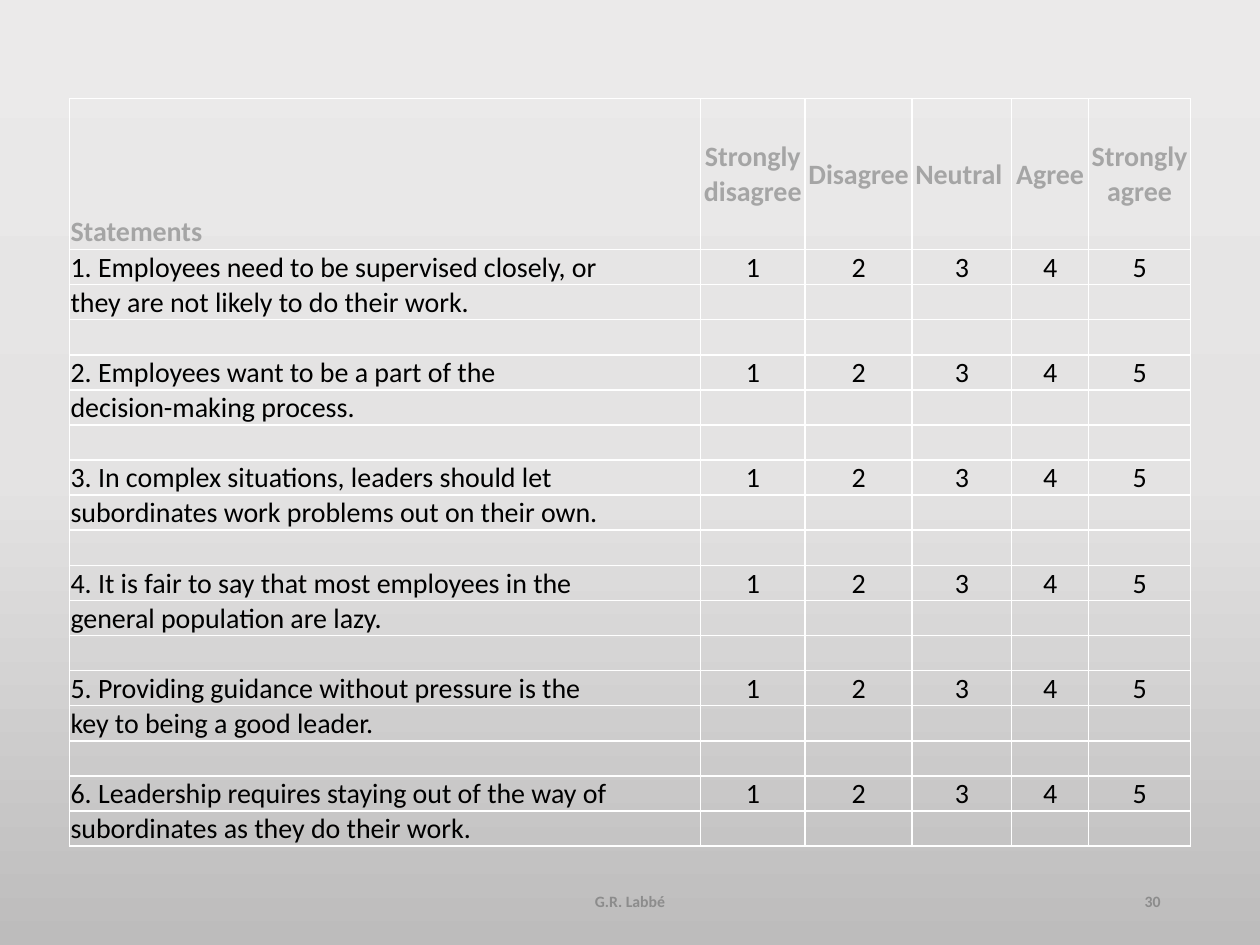
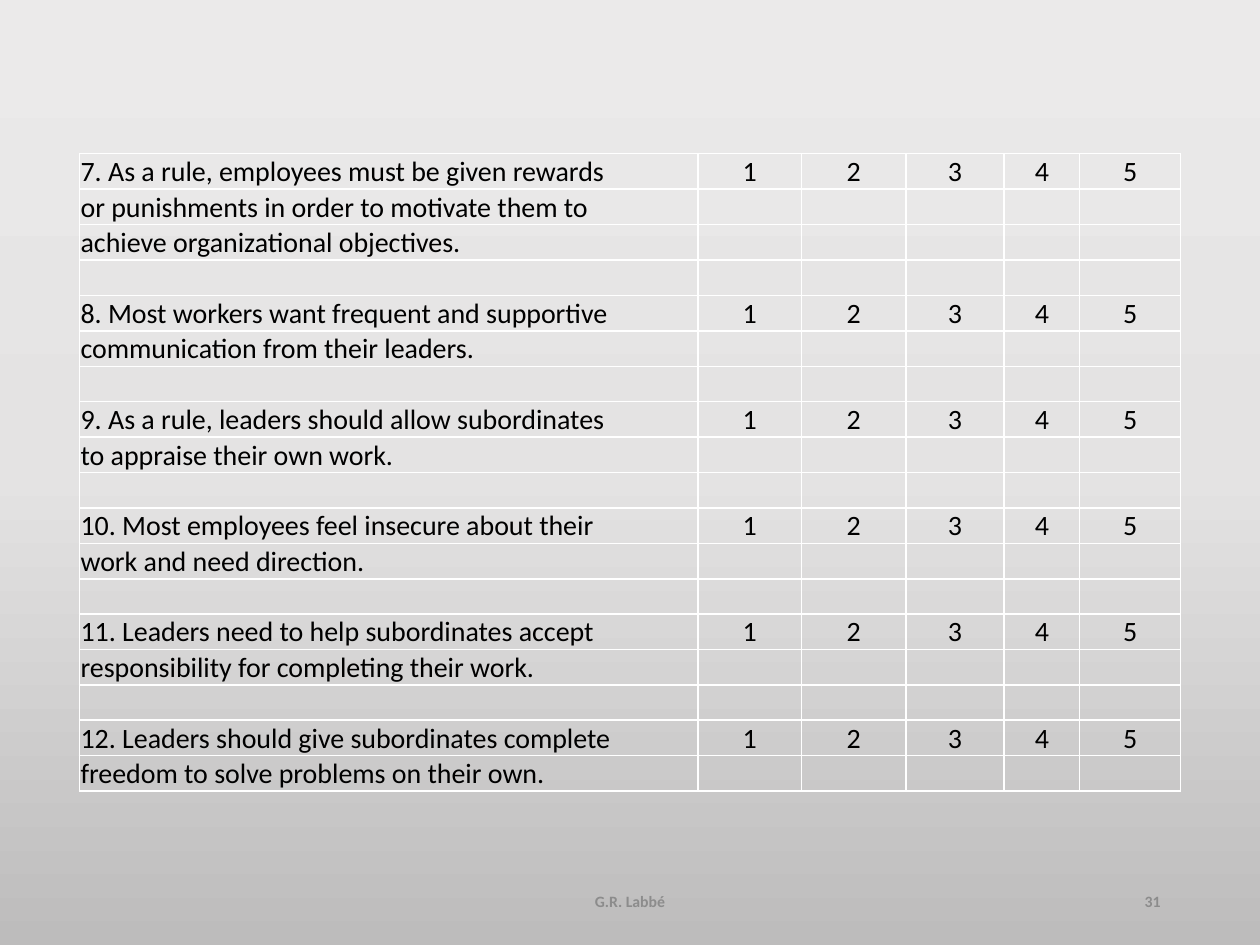
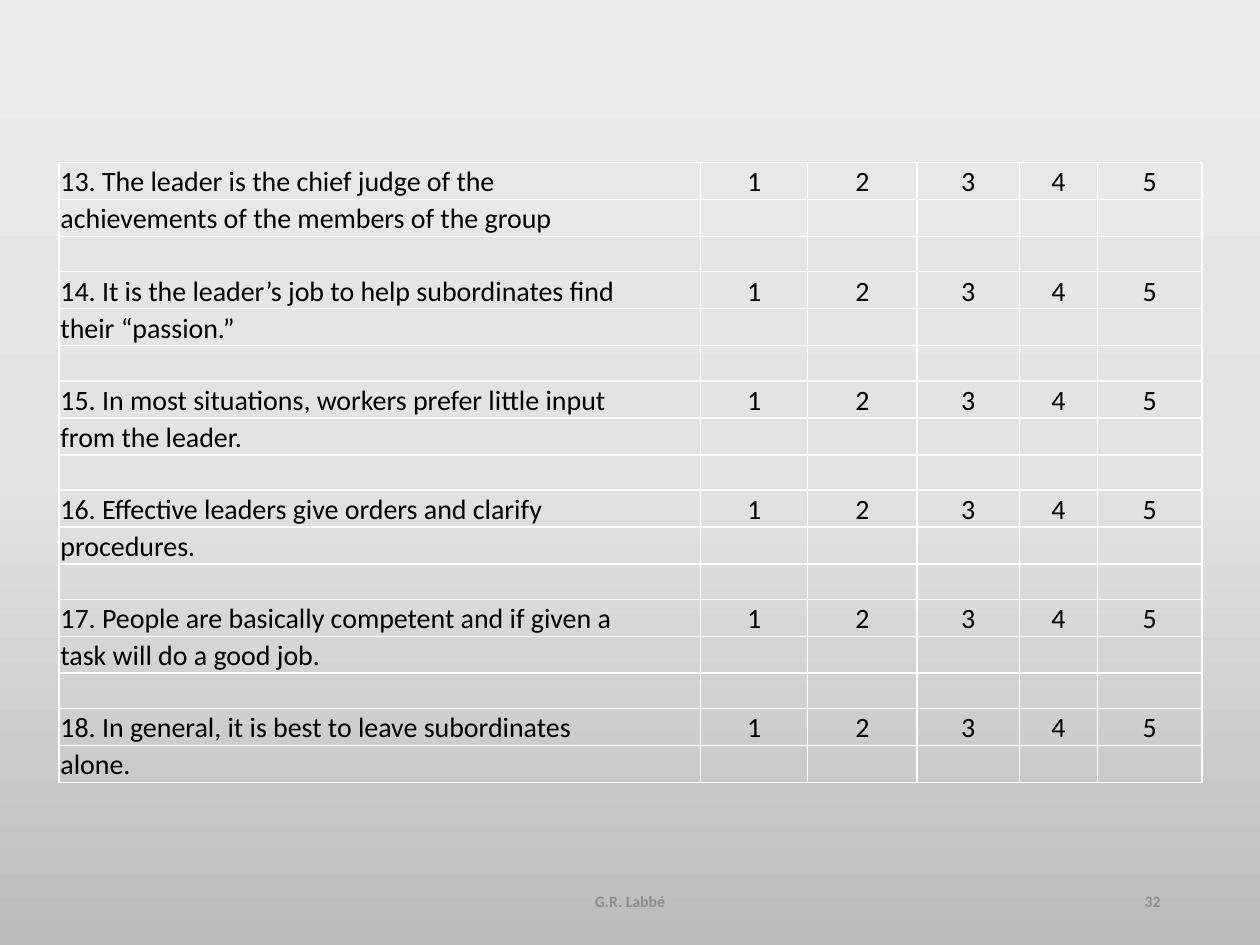
from lxml.etree import SubElement
from pptx import Presentation
from pptx.dml.color import RGBColor
from pptx.enum.text import MSO_ANCHOR as Anchor, PP_ALIGN as Align
from pptx.oxml.ns import qn
from pptx.util import Inches, Pt

FONT = "Calibri"
BLACK = RGBColor(0x00, 0x00, 0x00)
WHITE = RGBColor(0xFF, 0xFF, 0xFF)
HEADING_GRAY = RGBColor(0xA5, 0xA5, 0xA5)
FOOTER_GRAY = RGBColor(0x8C, 0x8C, 0x8C)
BACKDROP = [(0, RGBColor(0xEB, 0xEA, 0xEA)),
            (50, RGBColor(0xE4, 0xE3, 0xE3)),
            (100, RGBColor(0xBD, 0xBC, 0xBC))]

AUTHOR = "G.R. Labbé"
FIRST_PAGE = 30
HEADINGS = ["Statements", "Strongly disagree", "Disagree", "Neutral ",
            "Agree", "Strongly agree"]
RATINGS = ["1", "2", "3", "4", "5"]
HEADING_HEIGHT = 1.2
GAP_HEIGHT = 0.28

# Each statement is a list of lines, one table row per line
PAGES = [
    dict(left=0.55, top=0.78, height=5.94, headings=HEADINGS,
         widths=[5.01, 0.83, 0.85, 0.79, 0.61, 0.81],
         statements=[
             ["1. Employees need to be supervised closely, or",
              "they are not likely to do their work."],
             ["2. Employees want to be a part of the",
              "decision-making process."],
             ["3. In complex situations, leaders should let",
              "subordinates work problems out on their own."],
             ["4. It is fair to say that most employees in the",
              "general population are lazy."],
             ["5. Providing guidance without pressure is the",
              "key to being a good leader."],
             ["6. Leadership requires staying out of the way of",
              "subordinates as they do their work."]]),
    dict(left=0.63, top=1.22, height=5.06,
         widths=[4.91, 0.82, 0.83, 0.78, 0.6, 0.8],
         statements=[
             ["7. As a rule, employees must be given rewards",
              "or punishments in order to motivate them to",
              "achieve organizational objectives."],
             ["8. Most workers want frequent and supportive",
              "communication from their leaders."],
             ["9. As a rule, leaders should allow subordinates",
              "to appraise their own work."],
             ["10. Most employees feel insecure about their",
              "work and need direction."],
             ["11. Leaders need to help subordinates accept",
              "responsibility for completing their work."],
             ["12. Leaders should give subordinates complete",
              "freedom to solve problems on their own."]]),
    dict(left=0.47, top=1.29, height=4.92,
         widths=[5.09, 0.85, 0.87, 0.81, 0.62, 0.83],
         statements=[
             ["13. The leader is the chief judge of the",
              "achievements of the members of the group"],
             ["14. It is the leader’s job to help subordinates find",
              "their “passion.”"],
             ["15. In most situations, workers prefer little input",
              "from the leader."],
             ["16. Effective leaders give orders and clarify",
              "procedures."],
             ["17. People are basically competent and if given a",
              "task will do a good job."],
             ["18. In general, it is best to leave subordinates",
              "alone."]]),
]


def write(frame, text, size=16, color=BLACK, bold=False, align=Align.LEFT):
    """Fill the first paragraph; an empty one still keeps its line size."""
    paragraph = frame.paragraphs[0]
    paragraph.alignment = align
    if not text:
        SubElement(paragraph._p, qn("a:endParaRPr"), sz=str(size * 100))
        return
    run = paragraph.add_run()
    run.text = text
    run.font.name, run.font.size = FONT, Pt(size)
    run.font.bold, run.font.color.rgb = bold, color


def add_color(parent, color):
    SubElement(SubElement(parent, qn("a:solidFill")), qn("a:srgbClr"), val=str(color))


def outline(cell):
    """Thin white border on all sides, ahead of the cell fill."""
    properties = cell._tc.get_or_add_tcPr()
    for side in ("lnL", "lnR", "lnT", "lnB"):
        add_color(SubElement(properties, qn(f"a:{side}"), w=str(Pt(1))), WHITE)


class Deck:
    def __init__(self):
        self.prs = Presentation()
        self.prs.slide_width, self.prs.slide_height = Inches(10), Inches(7.5)
        self.slide = None
        self.paint_backdrop()

    def paint_backdrop(self):
        master = self.prs.slide_master
        fill = master.background.fill
        fill.gradient()
        fill.gradient_angle = 270
        stops = master.element.find(".//" + qn("a:gsLst"))
        stops.clear()
        for percent, color in BACKDROP:
            stop = SubElement(stops, qn("a:gs"), pos=str(percent * 1000))
            SubElement(stop, qn("a:srgbClr"), val=str(color))

    def new_slide(self, number):
        self.slide = self.prs.slides.add_slide(self.prs.slide_layouts[6])
        self.footer(AUTHOR, 3.31, 3.38, Align.CENTER)
        self.footer(str(number), 7.06, 2.25, Align.RIGHT)

    def footer(self, text, left, width, align):
        frame = self.slide.shapes.add_textbox(
            Inches(left), Inches(6.95), Inches(width), Inches(0.4)).text_frame
        frame.word_wrap = True
        frame.vertical_anchor = Anchor.MIDDLE
        write(frame, text, size=9, color=FOOTER_GRAY, bold=True, align=align)

    def cell(self, cell, text, anchor=Anchor.BOTTOM, **style):
        cell.margin_left = cell.margin_right = cell.margin_top = Inches(0.01)
        cell.margin_bottom = 0
        cell.vertical_anchor = anchor
        outline(cell)
        cell.fill.background()
        write(cell.text_frame, text, **style)

    def questionnaire(self, left, top, height, widths, statements, headings=None):
        # Rows: headings, then lines of each statement with a gap row between
        blank = [""] * len(RATINGS)
        rows = [headings] if headings else []
        for index, (first, *others) in enumerate(statements):
            if index:
                rows.append(["", *blank])
            rows.append([first, *RATINGS])
            rows += [[line, *blank] for line in others]

        # Statement lines share the height left by headings and gaps
        gaps = len(statements) - 1
        lines = sum(map(len, statements))
        used = gaps * GAP_HEIGHT + (HEADING_HEIGHT if headings else 0)
        line_height = (height - used) / lines

        grid = self.slide.shapes.add_table(
            len(rows), len(widths), Inches(left), Inches(top),
            Inches(sum(widths)), Inches(height)).table
        grid.first_row = grid.horz_banding = False
        for column, width in zip(grid.columns, widths):
            column.width = Inches(width)

        for r, texts in enumerate(rows):
            is_heading = texts is headings
            row_height = (HEADING_HEIGHT if is_heading
                          else line_height if texts[0] else GAP_HEIGHT)
            grid.rows[r].height = Inches(row_height)
            for c, text in enumerate(texts):
                self.cell(grid.cell(r, c), text,
                          anchor=Anchor.MIDDLE if is_heading and c else Anchor.BOTTOM,
                          color=HEADING_GRAY if is_heading else BLACK,
                          bold=is_heading,
                          align=Align.CENTER if c else Align.LEFT)


def main():
    deck = Deck()
    for number, page in enumerate(PAGES, FIRST_PAGE):
        deck.new_slide(number)
        deck.questionnaire(**page)
    deck.prs.save("out.pptx")


if __name__ == "__main__":
    main()
